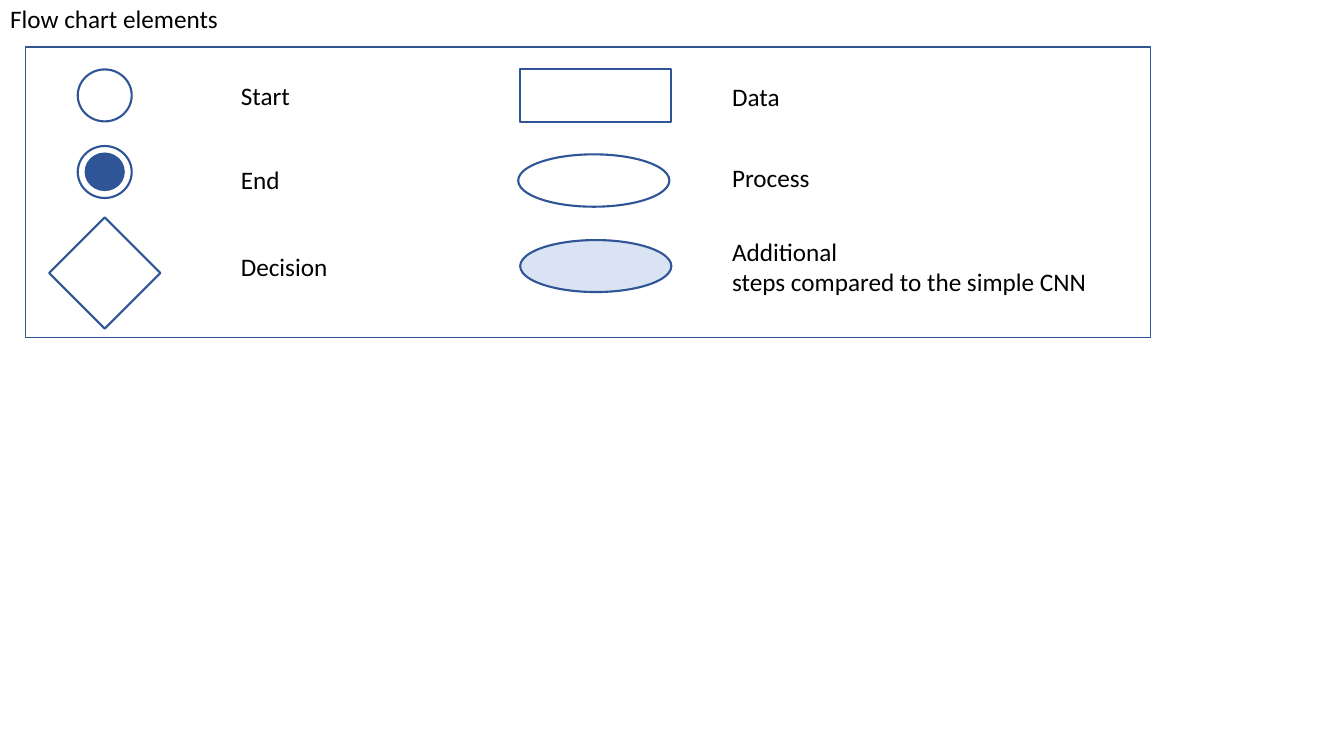
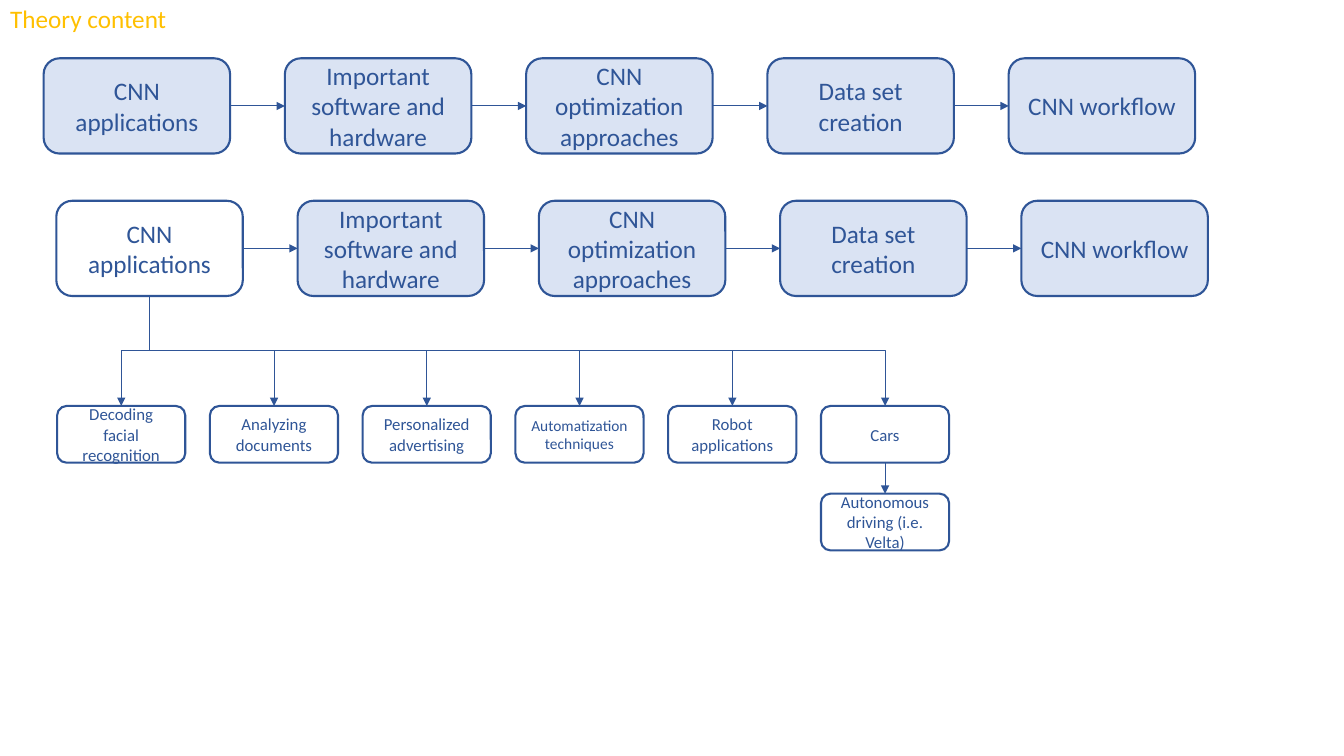
"""Build a flow chart legend and a theory content overview."""
from dataclasses import dataclass
from itertools import pairwise
from typing import Optional

from lxml.etree import SubElement
from pptx import Presentation
from pptx.dml.color import RGBColor
from pptx.enum.shapes import MSO_CONNECTOR as Link, MSO_SHAPE as Kind
from pptx.enum.text import MSO_ANCHOR as Anchor, MSO_AUTO_SIZE as AutoSize, PP_ALIGN as Align
from pptx.oxml.ns import qn
from pptx.util import Cm, Pt


@dataclass(frozen=True)
class Theme:
    """Colours, type sizes and line widths shared by all slides."""
    font: str = "Calibri"
    black: str = "000000"
    white: str = "FFFFFF"
    blue: str = "2F5597"
    frame: str = "325491"
    pale: str = "DAE3F3"
    gold: str = "FFC000"
    body: float = 18
    small: float = 12
    tiny: float = 11
    outline: float = 1.5
    thin: float = 1
    arrow: float = 0.75


@dataclass(frozen=True)
class Area:
    """A rectangle in centimetres."""
    left: float
    top: float
    width: float
    height: float

    def lengths(self) -> tuple:
        """Return the four sides as lengths."""
        return Cm(self.left), Cm(self.top), Cm(self.width), Cm(self.height)


@dataclass(frozen=True)
class Symbol:
    """A legend symbol."""
    kind: Kind
    area: Area
    fill: str


@dataclass(frozen=True)
class Label:
    """A legend caption, one paragraph per line."""
    lines: tuple[str, ...]
    area: Area


@dataclass(frozen=True)
class Step:
    """A captioned box in a flow."""
    text: str
    size: float
    fill: Optional[str] = None


THEME = Theme()

SYMBOLS = (
    Symbol(Kind.OVAL, Area(13.06, 3.89, 3.81, 1.32), THEME.white),
    Symbol(Kind.RECTANGLE, Area(13.11, 1.75, 3.81, 1.32), THEME.white),
    Symbol(Kind.DIAMOND, Area(1.24, 5.48, 2.8, 2.8), THEME.white),
    Symbol(Kind.FLOWCHART_CONNECTOR, Area(1.96, 1.75, 1.36, 1.31), THEME.white),
    Symbol(Kind.FLOWCHART_CONNECTOR, Area(1.96, 3.68, 1.36, 1.31), THEME.white),
    Symbol(Kind.FLOWCHART_CONNECTOR, Area(2.16, 3.87, 0.96, 0.92), THEME.blue),
    Symbol(Kind.OVAL, Area(13.11, 6.05, 3.81, 1.31), THEME.pale),
)
LABELS = (
    Label(("Start",), Area(5.82, 1.9, 2.8, 1.02)),
    Label(("End",), Area(5.82, 4.02, 2.8, 1.02)),
    Label(("Decision",), Area(5.82, 6.2, 2.8, 1.02)),
    Label(("Data",), Area(18.2, 1.92, 9.9, 1.02)),
    Label(("Process",), Area(18.2, 3.97, 9.9, 1.02)),
    Label(("Additional", "steps compared to the simple CNN"), Area(18.2, 5.82, 9.9, 1.8)),
)
TOPICS = (
    "CNN applications",
    "Important software and hardware",
    "CNN optimization approaches",
    "Data set creation",
    "CNN workflow",
)
APPLICATIONS = (
    Step("Decoding facial recognition", THEME.small),
    Step("Analyzing documents", THEME.small),
    Step("Personalized advertising", THEME.small),
    Step("Automatization techniques", THEME.tiny),
    Step("Robot applications", THEME.small),
    Step("Cars", THEME.small),
)
DRIVING = Step("Autonomous driving (i.e. Velta)", THEME.small)


def write_text(box, *lines: str, size: float = THEME.body, color: str = THEME.black,
               align: Align = Align.LEFT, anchor: Anchor = Anchor.TOP) -> None:
    """Fill a box with one formatted paragraph per line."""
    frame = box.text_frame
    frame.word_wrap = True
    frame.auto_size = AutoSize.NONE
    frame.vertical_anchor = anchor
    for index, line in enumerate(lines):
        para = frame.add_paragraph() if index else frame.paragraphs[0]
        para.alignment = align
        span = para.add_run()
        span.text = line
        span.font.name = THEME.font
        span.font.size = Pt(size)
        span.font.color.rgb = RGBColor.from_string(color)


def add_page(deck, title: str, *, color: str):
    """Add a title-only slide with its small corner title."""
    page = deck.slides.add_slide(deck.slide_layouts[5])
    box = page.shapes.title
    box.left, box.top, box.width, box.height = Area(0, -0.05, 8, 1.02).lengths()
    write_text(box, title, color=color)
    return page


def draw_shape(page, kind: Kind, area: Area, *, fill: Optional[str] = None,
               line: str = THEME.blue, width: float = THEME.outline):
    """Draw an outlined shape, filled when a colour is given."""
    box = page.shapes.add_shape(kind, *area.lengths())
    box.shadow.inherit = False
    if fill is None:
        box.fill.background()
    else:
        box.fill.solid()
        box.fill.fore_color.rgb = RGBColor.from_string(fill)
    box.line.color.rgb = RGBColor.from_string(line)
    box.line.width = Pt(width)
    return box


def draw_step(page, step: Step, area: Area):
    """Draw a rounded box with centred text."""
    box = draw_shape(page, Kind.ROUNDED_RECTANGLE, area, fill=step.fill)
    write_text(box, step.text, size=step.size, color=THEME.blue,
               align=Align.CENTER, anchor=Anchor.MIDDLE)
    return box


def draw_row(page, steps: tuple[Step, ...], first: Area, pitch: float) -> list:
    """Draw boxes at an equal pitch, starting at the first area."""
    return [
        draw_step(page, step, Area(first.left + index * pitch, first.top, first.width, first.height))
        for index, step in enumerate(steps)
    ]


def style_arrow(connector) -> None:
    """Give a connector a thin line, a triangle head and no shadow."""
    connector.line.color.rgb = RGBColor.from_string(THEME.blue)
    connector.line.width = Pt(THEME.arrow)
    properties = connector._element.spPr
    SubElement(properties.find(qn("a:ln")), qn("a:tailEnd"), type="triangle")
    SubElement(properties, qn("a:effectLst"))


def draw_arrow(page, source, target, *, start: int, end: int) -> None:
    """Join two boxes with a straight arrow between the given sides."""
    connector = page.shapes.add_connector(Link.STRAIGHT, 0, 0, 0, 0)
    connector.begin_connect(source, start)
    connector.end_connect(target, end)
    style_arrow(connector)


def draw_branch(page, source, target) -> None:
    """Draw a bent arrow from the bottom of one box to the top of another."""
    start_x, start_y = source.left + source.width // 2, source.top + source.height
    end_x, end_y = target.left + target.width // 2, target.top
    center_x, center_y = (start_x + end_x) // 2, (start_y + end_y) // 2
    rightward = end_x > start_x
    half_drop = (end_y - start_y) // 2 * (-1 if rightward else 1)
    half_run = abs(end_x - start_x) // 2
    connector = page.shapes.add_connector(
        Link.ELBOW, center_x - half_drop, center_y - half_run,
        center_x + half_drop, center_y + half_run)
    turn = 270 if rightward else 90
    connector._element.spPr.find(qn("a:xfrm")).set("rot", str(turn * 60000))
    style_arrow(connector)


def draw_topics(page, left: float, top: float, *, first_fill: Optional[str]) -> list:
    """Draw the chain of topics joined by arrows."""
    steps = tuple(Step(text, THEME.body, THEME.pale if index else first_fill)
                  for index, text in enumerate(TOPICS))
    boxes = draw_row(page, steps, Area(left, top, 4.7, 2.4), 6.08)
    for source, target in pairwise(boxes):
        draw_arrow(page, source, target, start=3, end=1)
    return boxes


def build_legend(deck) -> None:
    """Build the slide that explains the flow chart symbols."""
    page = add_page(deck, "Flow chart elements", color=THEME.black)
    for symbol in SYMBOLS:
        draw_shape(page, symbol.kind, symbol.area, fill=symbol.fill)
    for label in LABELS:
        write_text(page.shapes.add_textbox(*label.area.lengths()), *label.lines)
    draw_shape(page, Kind.RECTANGLE, Area(0.64, 1.19, 28.35, 7.32),
               line=THEME.frame, width=THEME.thin)


def build_theory(deck) -> None:
    """Build the slide with the topics and the applications below them."""
    page = add_page(deck, "Theory content", color=THEME.gold)
    draw_topics(page, 1.1, 1.47, first_fill=THEME.pale)
    root = draw_topics(page, 1.42, 5.06, first_fill=None)[0]
    leaves = draw_row(page, APPLICATIONS, Area(1.44, 10.23, 3.23, 1.43), 3.85)
    for leaf in leaves:
        draw_branch(page, root, leaf)
    cars = leaves[-1]
    driving = draw_step(page, DRIVING, Area(cars.left.cm, 12.44, 3.23, 1.43))
    draw_arrow(page, cars, driving, start=2, end=0)


def main() -> None:
    """Build and save the deck."""
    deck = Presentation()
    deck.slide_width, deck.slide_height = Cm(33.87), Cm(19.05)
    build_legend(deck)
    build_theory(deck)
    deck.save("out.pptx")


if __name__ == "__main__":
    main()
